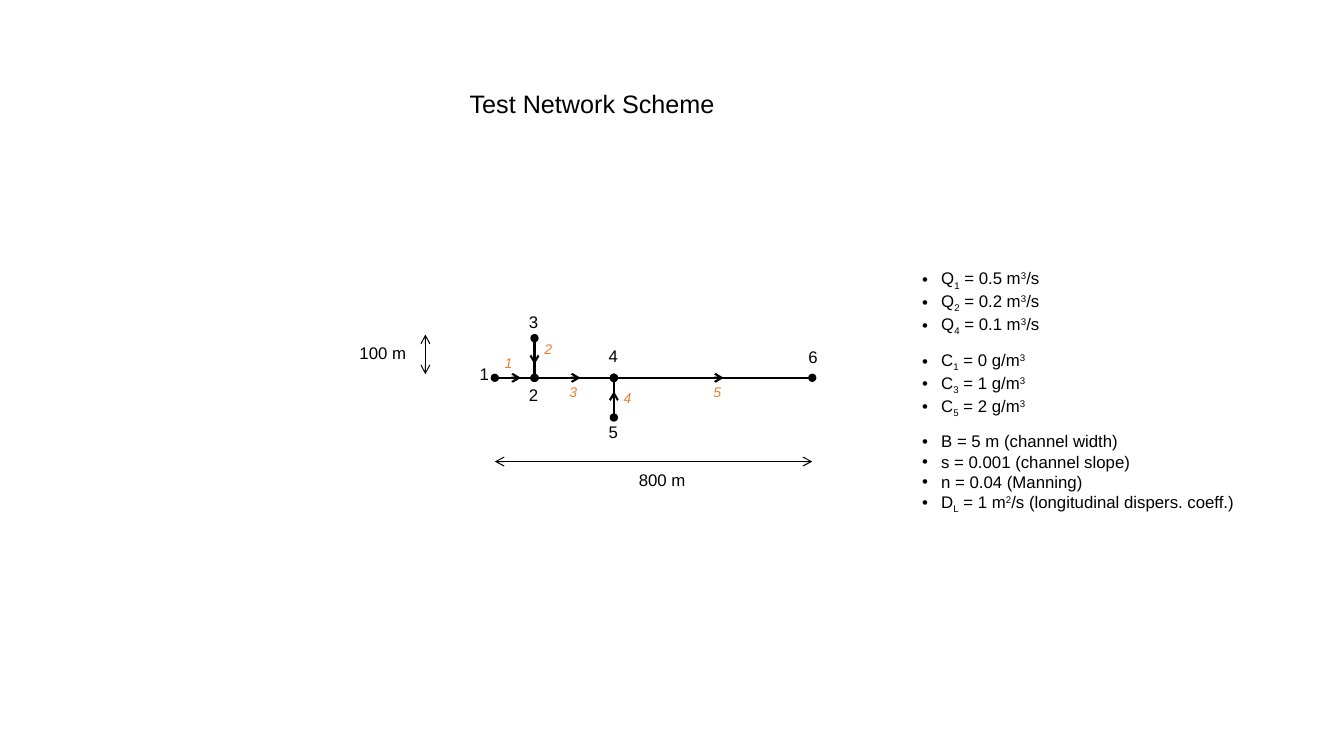
import pptx
import pptx.dml.color
import pptx.enum.shapes
import pptx.enum.text
import pptx.oxml.ns
import pptx.util
from lxml import etree

Cm = pptx.util.Cm
qn = pptx.oxml.ns.qn
COLORS = {"ink": "000000", "channel": "ED7D31"}
FONT = "Arial"
INDENT = 0.48
FLOW_LENGTH = 0.66
LABEL_WIDTH = 5.26

NODES = {
    "1": (12.47, 9.52),
    "2": (13.47, 9.52),
    "3": (13.47, 8.52),
    "4": (15.47, 9.52),
    "5": (15.47, 10.52),
    "6": (20.47, 9.52),
}
NODE_LABEL_OFFSETS = {
    "1": (-0.63, -0.48),
    "3": (-0.39, -0.8),
    "2": (-0.39, 0.06),
    "4": (-0.38, -0.93),
    "5": (-0.38, -0.03),
    "6": (-0.35, -0.91),
}
CHANNELS = ["12", "24", "46", "32", "45"]
FLOWS = [
    ((17.58, 9.52), (1, 0)),
    ((13.97, 9.52), (1, 0)),
    (NODES["1"], (1, 0)),
    (NODES["3"], (0, 1)),
    (NODES["5"], (0, -1)),
]
CHANNEL_LABELS = {
    "1": (12.47, 8.81),
    "2": (13.47, 8.46),
    "3": (14.1, 9.55),
    "4": (15.47, 9.7),
    "5": (17.73, 9.55),
}
DISCHARGES = [
    ("Q", index, f" = {value} m", "3", "/s")
    for index, value in (("1", "0.5"), ("2", "0.2"), ("4", "0.1"))
]
CONCENTRATIONS = [
    ("C", index, f" = {value} g/m", "3", "")
    for index, value in (("1", "0"), ("3", "1"), ("5", "2"))
]
PARAMETERS = [
    ("B = 5 m (channel width)",),
    ("s = 0.001 (channel slope)",),
    ("n = 0.04 (Manning)",),
    ("D", "L", " = 1 m", "2", "/s (longitudinal dispers. coeff.)"),
]
BASELINES = (0, -25000, 0, 30000, 0)


def rgb(name):
    return pptx.dml.color.RGBColor.from_string(COLORS[name])


def add_run(paragraph, text, size=12, color="ink", italic=False, baseline=0):
    run = paragraph.add_run()
    run.text = text
    run.font.name = FONT
    run.font.size = pptx.util.Pt(size)
    run.font.italic = italic
    run.font.color.rgb = rgb(color)
    if baseline:
        run._r.get_or_add_rPr().set("baseline", str(baseline))


def add_text_box(slide, left, top, width, height):
    shape = slide.shapes.add_textbox(Cm(left), Cm(top), Cm(width), Cm(height))
    shape.text_frame.word_wrap = True
    return shape.text_frame


def add_label(slide, text, position, width=LABEL_WIDTH, **style):
    frame = add_text_box(slide, *position, width, 0.76)
    add_run(frame.paragraphs[0], text, **style)


def add_line(slide, start, end, width, head=None, tail=None):
    connector = slide.shapes.add_connector(
        pptx.enum.shapes.MSO_CONNECTOR.STRAIGHT,
        *(Cm(value) for value in (*start, *end)),
    )
    connector.line.color.rgb = rgb("ink")
    connector.line.width = pptx.util.Pt(width)
    line = connector.line._get_or_add_ln()
    for tag, kind in (("a:headEnd", head), ("a:tailEnd", tail)):
        if kind:
            etree.SubElement(line, qn(tag), type=kind)
    etree.SubElement(connector._element.spPr, qn("a:effectLst"))


def add_bullets(slide, items, top, width, height):
    frame = add_text_box(slide, 22.99, top, width, height)
    for number, parts in enumerate(items):
        paragraph = frame.add_paragraph() if number else frame.paragraphs[0]
        properties = paragraph._p.get_or_add_pPr()
        properties.set("marL", str(Cm(INDENT)))
        properties.set("indent", str(-Cm(INDENT)))
        etree.SubElement(properties, qn("a:buFont"), typeface=FONT)
        etree.SubElement(properties, qn("a:buChar"), char="•")
        for text, baseline in zip(parts, BASELINES):
            if text:
                add_run(paragraph, text, baseline=baseline)


def set_title(slide, text):
    title = slide.shapes.title
    title.left, title.top = Cm(11.58), Cm(2.11)
    title.width, title.height = Cm(10.16), Cm(1.02)
    frame = title.text_frame
    frame.auto_size = pptx.enum.text.MSO_AUTO_SIZE.NONE
    frame.vertical_anchor = pptx.enum.text.MSO_ANCHOR.TOP
    paragraph = frame.paragraphs[0]
    paragraph.alignment = pptx.enum.text.PP_ALIGN.LEFT
    add_run(paragraph, text, size=18)


def add_network(slide):
    for start, end in CHANNELS:
        add_line(slide, NODES[start], NODES[end], 1.5, "oval", "oval")
    for name, (across, down) in NODE_LABEL_OFFSETS.items():
        x, y = NODES[name]
        add_label(slide, name, (x + across, y + down))
    for (x, y), (across, down) in FLOWS:
        end = (x + across * FLOW_LENGTH, y + down * FLOW_LENGTH)
        add_line(slide, (x, y), end, 1.5, tail="arrow")
    for name, position in CHANNEL_LABELS.items():
        add_label(slide, name, position, size=10, color="channel", italic=True)


def add_dimension(slide, text, start, end, label_position):
    add_line(slide, start, end, 0.75, "arrow", "arrow")
    add_label(slide, text, label_position, width=1.75)


def main():
    presentation = pptx.Presentation()
    presentation.slide_width = Cm(33.87)
    presentation.slide_height = Cm(19.05)
    slide = presentation.slides.add_slide(presentation.slide_layouts[5])
    set_title(slide, "Test Network Scheme")
    add_network(slide)
    add_dimension(slide, "100 m", (10.72, 8.43), (10.72, 9.43), (8.81, 8.51))
    add_dimension(slide, "800 m", (20.47, 11.63), (12.47, 11.63), (15.85, 11.71))
    add_bullets(slide, DISCHARGES, 6.63, 6.48, 2.31)
    add_bullets(slide, PARAMETERS, 10.74, 8.43, 2.31)
    add_bullets(slide, CONCENTRATIONS, 8.69, 6.48, 1.8)
    presentation.save("out.pptx")


if __name__ == "__main__":
    main()
